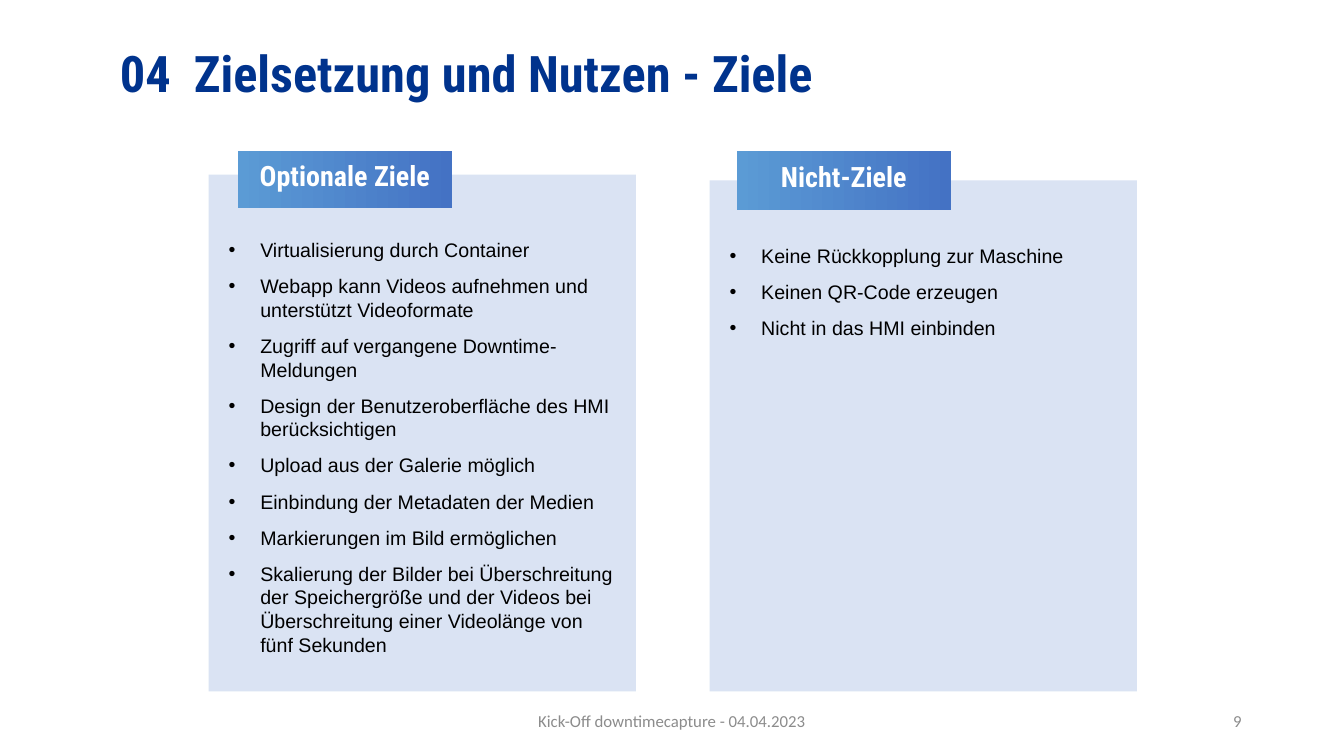
from pptx import Presentation
from pptx.dml.color import RGBColor
from pptx.enum.shapes import MSO_SHAPE
from pptx.enum.text import MSO_ANCHOR, MSO_AUTO_SIZE, PP_ALIGN
from pptx.oxml.ns import qn
from pptx.util import Pt
from lxml import etree

RECTANGLE = MSO_SHAPE.RECTANGLE
TOP, MIDDLE = MSO_ANCHOR.TOP, MSO_ANCHOR.MIDDLE
LEFT, CENTER, RIGHT = PP_ALIGN.LEFT, PP_ALIGN.CENTER, PP_ALIGN.RIGHT
NO_AUTOFIT = MSO_AUTO_SIZE.NONE
TWO_CONTENT_LAYOUT = 3


def color(hex_code):
    return RGBColor.from_string(hex_code)


class SlideBuilder:
    heading_font, body_font, footer_font = "Roboto Condensed", "Arial", "Calibri"
    navy, panel_blue, gray = "00338D", "DAE3F3", "8C8C8C"
    label_gradient = ("5B9BD5", "4472C4")
    bullet_indent = 22.5
    title_tab = 52.8

    def __init__(self, slide):
        self.slide = slide

    def place(self, shape, left, top, width, height):
        shape.left, shape.top = Pt(left), Pt(top)
        shape.width, shape.height = Pt(width), Pt(height)

    def frame(self, shape, anchor, insets):
        frame = shape.text_frame
        frame.word_wrap = True
        frame.auto_size = NO_AUTOFIT
        frame.vertical_anchor = anchor
        (frame.margin_left, frame.margin_top,
         frame.margin_right, frame.margin_bottom) = map(Pt, insets)
        return frame

    def run(self, paragraph, text, font, size, hex_code, bold=False):
        run = paragraph.add_run()
        run.text = text
        run.font.name, run.font.size, run.font.bold = font, Pt(size), bold
        run.font.color.rgb = color(hex_code)

    def title(self, number, text, *box):
        shape = self.slide.shapes.title
        self.place(shape, *box)
        paragraph = self.frame(shape, MIDDLE, (7.2, 3.6, 7.2, 3.6)).paragraphs[0]
        tabs = etree.SubElement(paragraph._p.get_or_add_pPr(), qn("a:tabLst"))
        etree.SubElement(tabs, qn("a:tab"), pos=str(Pt(self.title_tab)), algn="l")
        paragraph.alignment = LEFT
        paragraph.line_spacing = 0.9
        self.run(paragraph, f"{number}\t{text}", self.heading_font, 36, self.navy, True)

    def panel(self, placeholder_index, items, *box):
        shape = self.slide.placeholders[placeholder_index]
        self.place(shape, *box)
        shape.fill.solid()
        shape.fill.fore_color.rgb = color(self.panel_blue)
        frame = self.frame(shape, TOP, (14.4, 45.4, 14.4, 14.4))
        for index, item in enumerate(items):
            paragraph = frame.add_paragraph() if index else frame.paragraphs[0]
            properties = paragraph._p.get_or_add_pPr()
            properties.set("marL", str(Pt(self.bullet_indent)))
            properties.set("indent", str(-Pt(self.bullet_indent)))
            etree.SubElement(properties, qn("a:buFont"), typeface=self.body_font)
            etree.SubElement(properties, qn("a:buChar"), char="•")
            paragraph.space_before = Pt(3 if index else 0)
            paragraph.space_after = Pt(6)
            self.run(paragraph, item, self.body_font, 14, "000000")

    def label(self, text, *box):
        shape = self.slide.shapes.add_shape(RECTANGLE, *map(Pt, box))
        shape.shadow.inherit = False
        shape.line.fill.background()
        shape.fill.gradient()
        shape.fill.gradient_angle = 0
        for stop, position, hex_code in zip(
                shape.fill.gradient_stops, (0, 1), self.label_gradient):
            stop.position = position
            stop.color.rgb = color(hex_code)
        paragraph = self.frame(shape, MIDDLE, (4.3,) * 4).paragraphs[0]
        paragraph.alignment = CENTER
        paragraph.line_spacing = 0.7
        self.run(paragraph, text, self.heading_font, 20, "FFFFFF", True)

    def footer(self, text, alignment, *box):
        shape = self.slide.shapes.add_textbox(*map(Pt, box))
        paragraph = self.frame(shape, MIDDLE, (7.2, 3.6, 7.2, 3.6)).paragraphs[0]
        paragraph.alignment = alignment
        self.run(paragraph, text, self.footer_font, 12, self.gray)


def main():
    presentation = Presentation()
    presentation.slide_width, presentation.slide_height = Pt(960), Pt(540)
    layout = presentation.slide_layouts[TWO_CONTENT_LAYOUT]
    builder = SlideBuilder(presentation.slides.add_slide(layout))

    # Title
    builder.title("04", "Zielsetzung und Nutzen - Ziele", 78.5, 33.8, 803.5, 41.8)

    # Goal panels: heading, label left and height, panel left and top, items
    columns = [
        ("Optionale Ziele", 170, 40.3, 149, 124.7, [
            "Virtualisierung durch Container",
            "Webapp kann Videos aufnehmen und unterstützt Videoformate",
            "Zugriff auf vergangene Downtime-Meldungen",
            "Design der Benutzeroberfläche des HMI berücksichtigen",
            "Upload aus der Galerie möglich",
            "Einbindung der Metadaten der Medien",
            "Markierungen im Bild ermöglichen",
            "Skalierung der Bilder bei Überschreitung der Speichergröße und der "
            "Videos bei Überschreitung einer Videolänge von fünf Sekunden",
        ]),
        ("Nicht-Ziele", 526.4, 42.4, 506.8, 128.8, [
            "Keine Rückkopplung zur Maschine",
            "Keinen QR-Code erzeugen",
            "Nicht in das HMI einbinden",
        ]),
    ]
    panel_bottom = 493.9
    for index, column in enumerate(columns, start=1):
        heading, label_left, label_height, panel_left, panel_top, items = column
        builder.panel(index, items, panel_left, panel_top,
                      305.2, panel_bottom - panel_top)
        builder.label(heading, label_left, 108, 152.7, label_height)

    # Footer and page number
    builder.footer("Kick-Off downtimecapture - 04.04.2023", CENTER, 318, 500.5, 324, 28.8)
    builder.footer("9", RIGHT, 678, 500.5, 216, 28.8)

    presentation.save("out.pptx")


if __name__ == "__main__":
    main()
